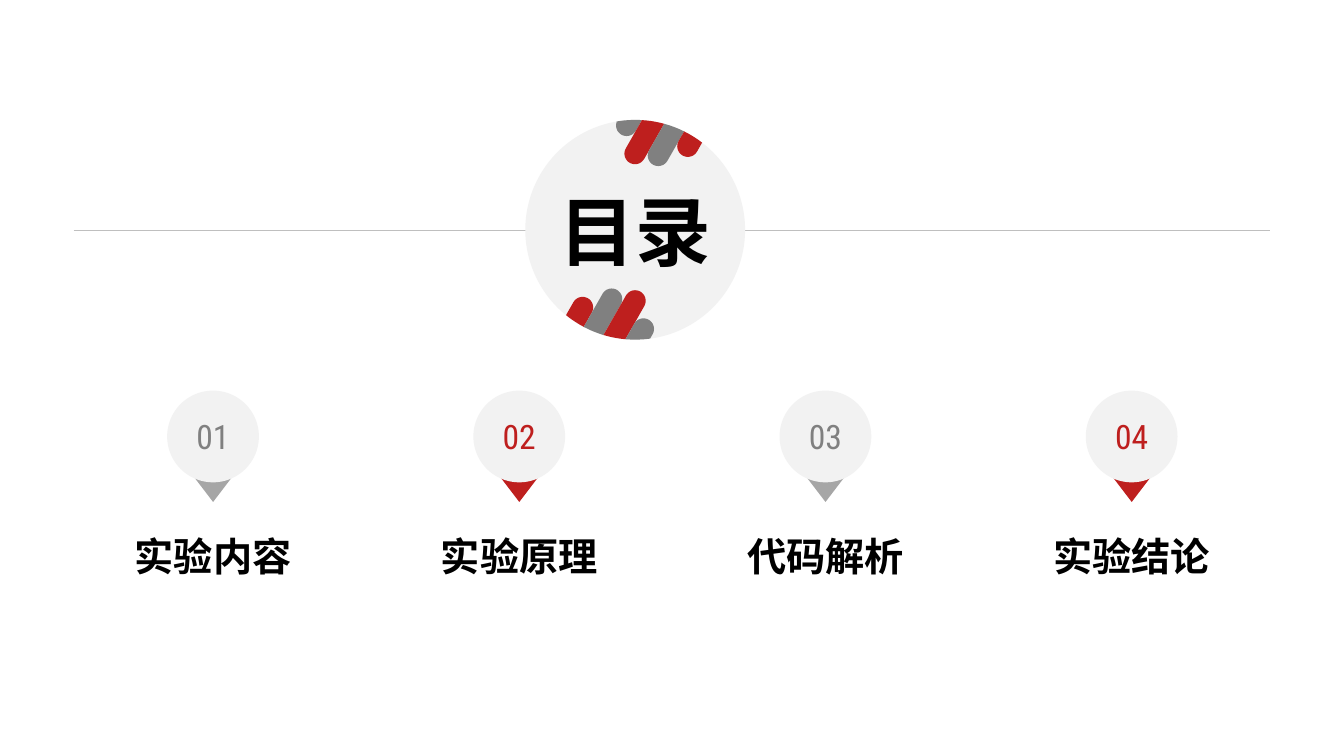
import math

import pptx
import pptx.dml.color
import pptx.enum.shapes
import pptx.enum.text
import pptx.util
from pptx.oxml.ns import qn

RGBColor = pptx.dml.color.RGBColor
RED = RGBColor(0xBE, 0x1F, 0x1E)
GRAY = RGBColor(0x80, 0x80, 0x80)
POINTER_GRAY = RGBColor(0xA6, 0xA6, 0xA6)
PALE = RGBColor(0xF2, 0xF2, 0xF2)
RULE_GRAY = RGBColor(0xBF, 0xBF, 0xBF)
BLACK = RGBColor(0, 0, 0)

SHAPES = pptx.enum.shapes.MSO_SHAPE
ANCHOR = pptx.enum.text.MSO_ANCHOR

# The grid has 133.3 columns and 75 rows of square cells
COLUMNS, ROWS = 133.3, 75


def cells(count):
    return pptx.util.Inches(count / 10)


class ContentsSlide:
    """Style and drawing methods; positions are grid columns and rows."""

    heading_font = "Arial"
    number_font = "Roboto Condensed"
    stripe_tilt = 29.6
    stripe_radius = 1.05

    def __init__(self, deck):
        self.slide = deck.slides.add_slide(deck.slide_layouts[6])
        self.shapes = self.slide.shapes

    def paint(self, shape, color):
        shape.shadow.inherit = False
        shape.fill.solid()
        shape.fill.fore_color.rgb = color
        shape.line.fill.background()

    def add_words(self, shape, words, size, font, color, bold=False, wrap=True):
        frame = shape.text_frame
        frame.word_wrap = wrap
        paragraph = frame.paragraphs[0]
        paragraph.alignment = pptx.enum.text.PP_ALIGN.CENTER
        run = paragraph.add_run()
        run.text = words
        run.font.size = pptx.util.Pt(size)
        run.font.name = font
        run.font.bold = bold
        run.font.color.rgb = color
        return frame

    def rule(self, start, end, row):
        line = self.shapes.add_connector(
            pptx.enum.shapes.MSO_CONNECTOR.STRAIGHT,
            cells(start), cells(row), cells(end), cells(row))
        line.line.color.rgb = RULE_GRAY
        line.line.width = pptx.util.Pt(0.25)
        properties = line._element.spPr
        properties.append(properties.makeelement(qn("a:effectLst"), {}))

    def centred(self, kind, column, row, width, height, color):
        shape = self.shapes.add_shape(
            kind, cells(column - width / 2), cells(row - height / 2),
            cells(width), cells(height))
        self.paint(shape, color)
        return shape

    def disc(self, column, row, diameter):
        disc = self.centred(SHAPES.OVAL, column, row, diameter, diameter, PALE)
        disc.text_frame.vertical_anchor = ANCHOR.MIDDLE
        return disc

    def label(self, words, column, top, width, height):
        box = self.shapes.add_textbox(
            cells(column - width / 2), cells(top), cells(width), cells(height))
        frame = self.add_words(box, words, 28, self.heading_font, BLACK, bold=True)
        frame.margin_top = frame.margin_bottom = 0

    def stripe(self, column, row, disc_radius, offset, inner_end, side, color):
        """Round-ended bar cut by the disc's edge; side is 1 above, -1 below."""
        radius = self.stripe_radius

        def edge(across):
            return math.sqrt(disc_radius ** 2 - across ** 2)

        outline = []
        for degree in range(0, 181, 10):
            angle = math.radians(degree)
            across = offset + radius * math.cos(angle)
            along = min(inner_end - radius * math.sin(angle), edge(across))
            outline.append((across, along))
        for step in range(-5, 6):
            across = offset + radius * step / 5
            outline.append((across, edge(across)))

        # Drawn upright around the disc's centre, then turned about it
        points = [(cells(column + x), cells(row - side * y)) for x, y in outline]
        builder = self.shapes.build_freeform(*points[0], scale=1.0)
        builder.add_line_segments(points[1:], close=True)
        bar = builder.convert_to_shape()
        self.paint(bar, color)
        tilt = math.radians(self.stripe_tilt)
        dx = bar.left + bar.width / 2 - cells(column)
        dy = bar.top + bar.height / 2 - cells(row)
        turned_x = dx * math.cos(tilt) - dy * math.sin(tilt)
        turned_y = dx * math.sin(tilt) + dy * math.cos(tilt)
        bar.left = round(cells(column) + turned_x - bar.width / 2)
        bar.top = round(cells(row) + turned_y - bar.height / 2)
        bar.rotation = self.stripe_tilt

    def pin(self, number, column, row, pointer_color, number_color):
        pointer = self.centred(
            SHAPES.ISOSCELES_TRIANGLE, column, row + 4.6, 5.8, 3.8, pointer_color)
        pointer.rotation = 180
        disc = self.disc(column, row, 9.1)
        self.add_words(disc, number, 24, self.number_font, number_color)


def main():
    deck = pptx.Presentation()
    deck.slide_width = cells(COLUMNS)
    deck.slide_height = cells(ROWS)
    contents = ContentsSlide(deck)

    # Heading disc on its rule
    heading_column, heading_row, heading_radius = 63, 22.8, 10.9
    contents.rule(7.3, 126, heading_row)
    heading = contents.disc(heading_column, heading_row, 2 * heading_radius)
    contents.add_words(heading, "目录", 54, contents.heading_font, BLACK,
                       bold=True, wrap=False)

    # Stripes: side, offset of the first bar, inner ends, alternating colours
    stripe_groups = [
        (1, -5.85, (8.58, 6.56, 7.54, 9.78), (GRAY, RED)),
        (-1, -0.73, (9.28, 7.13, 6.13, 8.15), (RED, GRAY)),
    ]
    for side, first_offset, inner_ends, colors in stripe_groups:
        for index, inner_end in enumerate(inner_ends):
            offset = first_offset + 2 * contents.stripe_radius * index
            contents.stripe(heading_column, heading_row, heading_radius,
                            offset, inner_end, side, colors[index % 2])

    # Four numbered chapters
    first_chapter, chapter_pitch = 21.13, 30.37
    pin_colors = [(POINTER_GRAY, GRAY), (RED, RED)]
    chapters = ["实验内容", "实验原理", "代码解析", "实验结论"]
    for index, chapter in enumerate(chapters):
        column = first_chapter + chapter_pitch * index
        contents.pin(f"{index + 1:02}", column, 43.3, *pin_colors[index % 2])
        contents.label(chapter, column, 52.8, 27.5, 4)

    deck.save("out.pptx")


if __name__ == "__main__":
    main()
